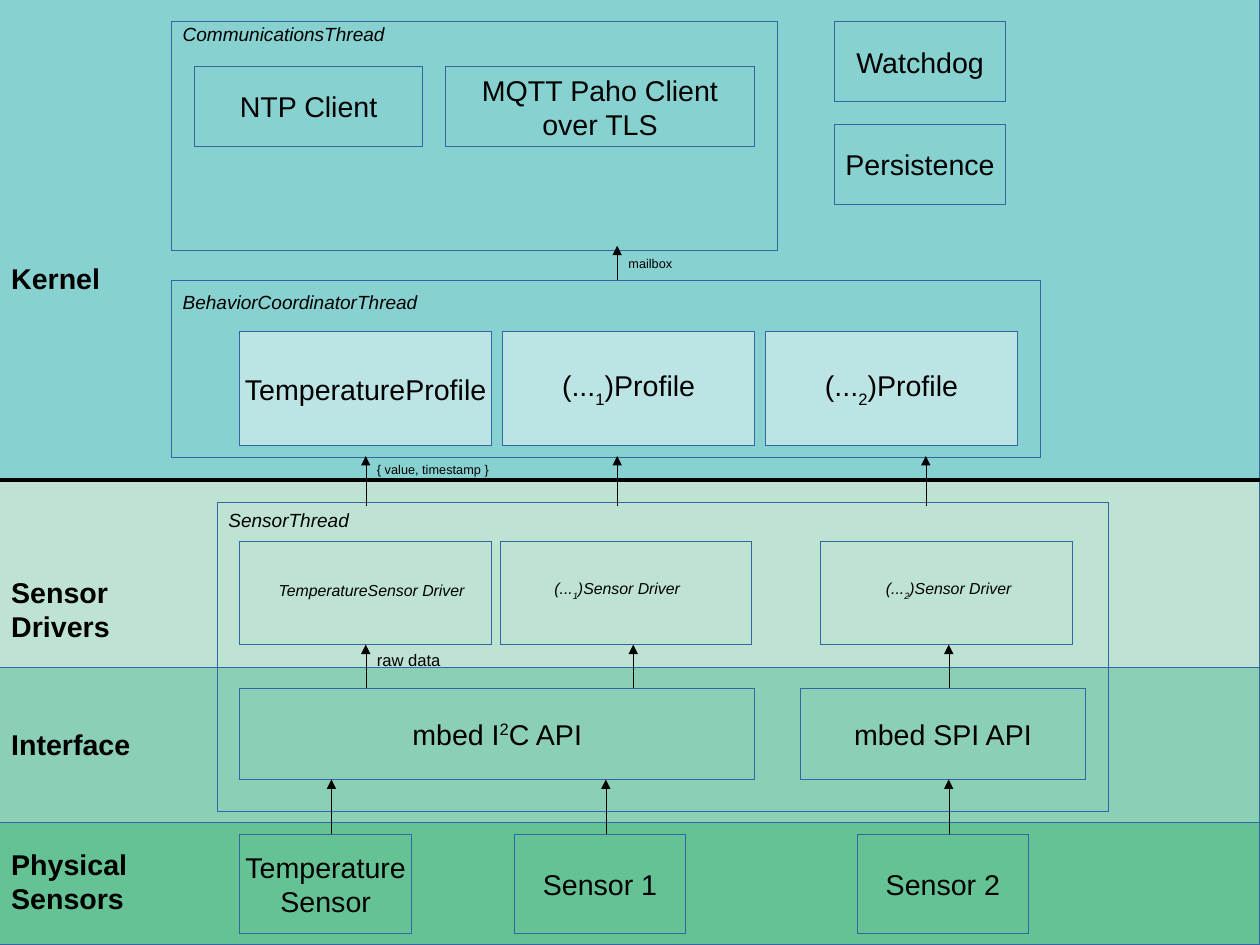
from dataclasses import dataclass

from lxml.etree import SubElement
from pptx import Presentation
from pptx.dml.color import RGBColor as RGB
from pptx.enum.shapes import MSO_CONNECTOR as CONN, MSO_SHAPE as SHAPE
from pptx.enum.text import MSO_ANCHOR as ANCHOR, PP_ALIGN as ALIGN
from pptx.oxml.ns import qn
from pptx.util import Cm, Emu, Inches, Pt


@dataclass(frozen=True)
class Theme:
    font: str = "Arial"
    ink: str = "000000"
    border: str = "3465A4"
    kernel: str = "87D1D1"
    profile: str = "BCE4E5"
    drivers: str = "BEE3D3"
    interface: str = "8CCFB7"
    physical: str = "65C295"
    large: float = 18
    thread: float = 12
    data: float = 10.5
    driver: float = 10
    note: float = 8
    hairline: int = Emu(1)  # thinnest width; zero would fall back to the style
    divider: int = Pt(2.89)


T = Theme()
WIDTH, HEIGHT = Cm(28), Cm(21)
COLS, ROWS = WIDTH.inches * 10, HEIGHT.inches * 10  # grid of tenths of an inch
SUB, SUPER = -33, 33

# Row lines shared by several elements
DRIVERS_TOP, INTERFACE_TOP, PHYSICAL_TOP = 42, 58.4, 72
SENSOR_TOP, API_TOP, API_BOTTOM = 73, 60.2, 68.2
DRIVER_TOP, DRIVER_BOTTOM = 47.4, 56.4
COORDINATOR_TOP, PROFILE_TOP = 24.5, 29
PROFILE_LEFT, PROFILE_STEP, PROFILE_WIDTH = 21, 23, 22


def cells(*values):
    """Grid cells to slide lengths."""
    return [Inches(v / 10) for v in values]


def color(code):
    return RGB.from_string(code)


def write(sp, paragraphs, size, align=ALIGN.LEFT, anchor=ANCHOR.TOP,
          wrap=True, bold=False, italic=False):
    """Each paragraph is a list of runs: a string, or (string, baseline)."""
    tf = sp.text_frame
    tf.word_wrap = wrap
    tf.vertical_anchor = anchor
    for i, runs in enumerate(paragraphs):
        p = tf.add_paragraph() if i else tf.paragraphs[0]
        p.alignment = align
        for run in runs:
            text, baseline = (run, 0) if isinstance(run, str) else run
            r = p.add_run()
            r.text = text
            f = r.font
            f.name, f.size = T.font, Pt(size)
            f.bold, f.italic = bold, italic
            f.color.rgb = color(T.ink)
            if baseline:
                r._r.get_or_add_rPr().set("baseline", str(baseline * 1000))


def box(s, x, y, w, h, fill=None, paragraphs=()):
    sp = s.shapes.add_shape(SHAPE.RECTANGLE, *cells(x, y, w, h))
    sp.shadow.inherit = False
    if fill:
        sp.fill.solid()
        sp.fill.fore_color.rgb = color(fill)
    else:
        sp.fill.background()
    sp.line.color.rgb = color(T.border)
    sp.line.width = T.hairline
    if paragraphs:
        write(sp, paragraphs, T.large, ALIGN.CENTER, ANCHOR.MIDDLE, wrap=False)
    return sp


def label(s, x, y, w, h, runs, size, **style):
    write(s.shapes.add_textbox(*cells(x, y, w, h)), [runs], size, **style)


def line(s, x1, y1, x2, y2, width):
    c = s.shapes.add_connector(CONN.STRAIGHT, *cells(x1, y1, x2, y2))
    c.line.color.rgb = color(T.ink)
    c.line.width = width
    SubElement(c._element.spPr, qn("a:effectLst"))
    return c


def arrow_up(s, x, y_from, y_to):
    c = line(s, x, y_from, x, y_to, T.hairline)
    ln = c._element.spPr.find(qn("a:ln"))
    SubElement(ln, qn("a:tailEnd"), type="triangle")
    return c


def add_layers(s):
    bands = [(0, T.kernel), (DRIVERS_TOP, T.drivers),
             (INTERFACE_TOP, T.interface), (PHYSICAL_TOP, T.physical)]
    bottoms = [top for top, _ in bands[1:]] + [ROWS]
    for (top, fill), bottom in zip(bands, bottoms):
        box(s, 0, top, COLS, bottom - top, fill)
    line(s, 0, DRIVERS_TOP, COLS, DRIVERS_TOP, T.divider)

    for name, y, w, h, anchor in [
            ("Kernel", 19.6, 11, 9.4, ANCHOR.MIDDLE),
            ("Sensor Drivers", 47.2, 13, 12.2, ANCHOR.MIDDLE),
            ("Interface", 63.1, 15, 6.6, ANCHOR.TOP),
            ("Physical Sensors", 73.6, 14, 7, ANCHOR.TOP)]:
        label(s, 0, y, w, h, [name], T.large, bold=True, anchor=anchor)


def add_kernel(s):
    # Communications thread and standalone services
    box(s, 15, 1.9, 53, 20, T.kernel)
    label(s, 15, 1.5, 22, 3.8, ["CommunicationsThread"], T.thread, italic=True)
    box(s, 17, 5.8, 20, 7, T.kernel, [["NTP Client"]])
    box(s, 39, 5.85, 27, 7, T.kernel, [["MQTT Paho Client"], ["over TLS"]])
    for i, name in enumerate(["Watchdog", "Persistence"]):
        box(s, 73, 1.9 + 9 * i, 15, 7, T.kernel, [[name]])

    # Behavior coordinator with its profiles
    box(s, 15, COORDINATOR_TOP, 76, 15.5, T.kernel)
    label(s, 15, 24.9, 24, 3, ["BehaviorCoordinatorThread"], T.thread,
          italic=True)
    profiles = [["TemperatureProfile"],
                ["(...", ("1", SUB), ")Profile"],
                ["(...", ("2", SUB), ")Profile"]]
    for i, runs in enumerate(profiles):
        box(s, PROFILE_LEFT + PROFILE_STEP * i, PROFILE_TOP, PROFILE_WIDTH, 10,
            T.profile, [runs])

    arrow_up(s, 54, COORDINATOR_TOP, 21.5)
    label(s, 54, 21.9, 7, 3, ["mailbox"], T.note)


def add_sensor_thread(s):
    box(s, 19, 44, 78, 27)
    label(s, 19, 44, 24, 3, ["SensorThread"], T.thread, italic=True)

    # Drivers: box left, label left, top and width, runs
    driver_boxes = []
    for x, text_x, text_y, text_w, runs in [
            (21, 23, 50.3, 19, ["TemperatureSensor Driver"]),
            (43.8, 46, 50.1, 16, ["(...", ("1", SUB), ")Sensor Driver"]),
            (71.8, 75, 50.1, 16, ["(...", ("2", SUB), ")Sensor Driver"])]:
        driver_boxes.append(box(s, x, DRIVER_TOP, 22,
                                DRIVER_BOTTOM - DRIVER_TOP, T.drivers))
        label(s, text_x, text_y, text_w, 2.8, runs, T.driver,
              align=ALIGN.CENTER, italic=True)

    # Bus interfaces
    for x, w, runs in [(21, 45, ["mbed I", ("2", SUPER), "C API"]),
                       (70, 25, ["mbed SPI API"])]:
        box(s, x, API_TOP, w, API_BOTTOM - API_TOP, T.interface, [runs])

    # Data flowing up from the interfaces and to the kernel
    raw, *_ = [arrow_up(s, x, API_TOP, DRIVER_BOTTOM) for x in (32, 55.4, 83)]
    raw.end_connect(driver_boxes[0], 2)
    label(s, 32, DRIVER_BOTTOM, 13, 3.1, ["raw data"], T.data)
    for x in (32, 54, 81):
        arrow_up(s, x, 44.3, 39.9)
    label(s, 32, 39.9, 12, 2.9, ["{ value, timestamp }"], T.note)


def add_physical_sensors(s):
    for x, paragraphs in [(21, [["Temperature"], ["Sensor"]]),
                          (45, [["Sensor 1"]]),
                          (75, [["Sensor 2"]])]:
        box(s, x, SENSOR_TOP, 15, 8.7, T.physical, paragraphs)
        arrow_up(s, x + 8, SENSOR_TOP, API_BOTTOM)


def main():
    prs = Presentation()
    prs.slide_width, prs.slide_height = WIDTH, HEIGHT
    s = prs.slides.add_slide(prs.slide_layouts[6])
    add_layers(s)
    add_kernel(s)
    add_sensor_thread(s)
    add_physical_sensors(s)
    prs.save("out.pptx")


if __name__ == "__main__":
    main()
